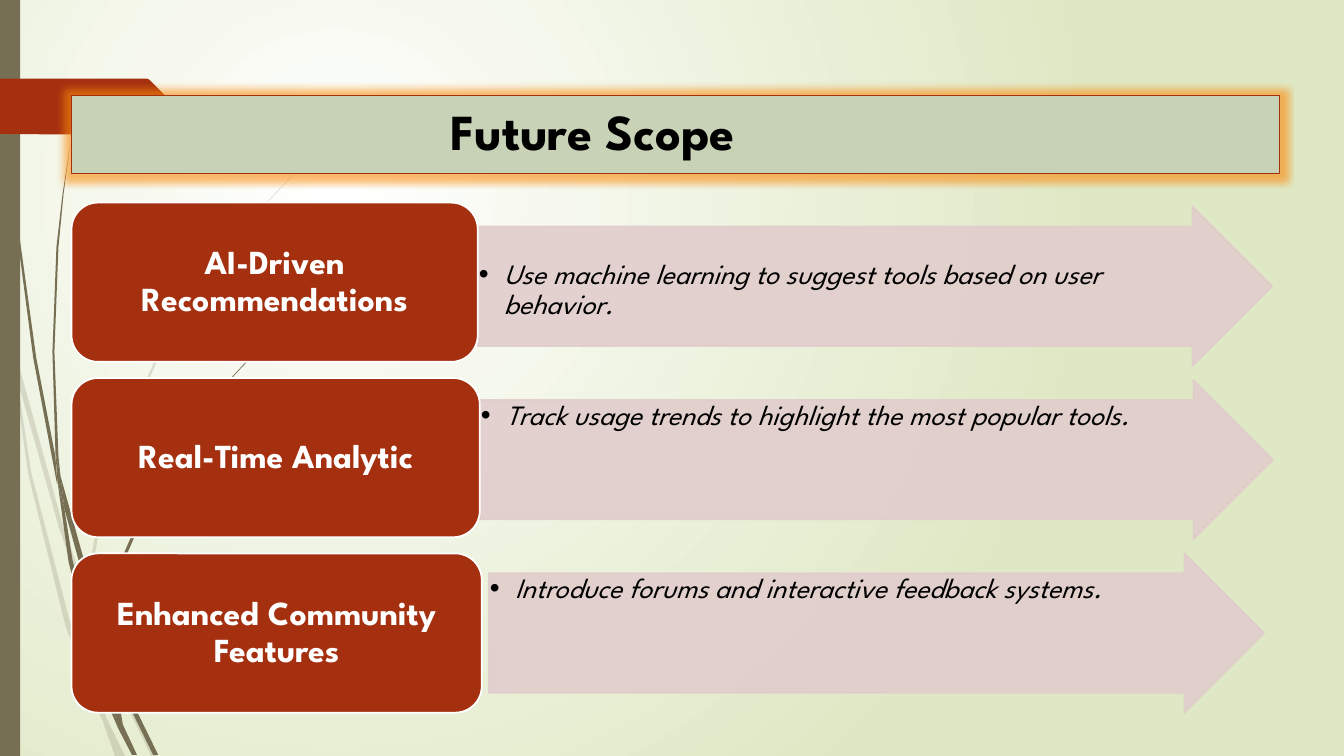
from lxml.etree import SubElement as sub_element
from pptx import Presentation
from pptx.dml.color import RGBColor
from pptx.enum.shapes import MSO_SHAPE as SHAPE
from pptx.enum.text import MSO_ANCHOR as ANCHOR, MSO_AUTO_SIZE as AUTO_SIZE, PP_ALIGN as ALIGN
from pptx.oxml.ns import qn
from pptx.util import Inches, Pt

BLACK = RGBColor(0x00, 0x00, 0x00)
WHITE = RGBColor(0xFF, 0xFF, 0xFF)
MIST = RGBColor(0xDF, 0xE8, 0xC4)
SAGE = RGBColor(0xC7, 0xD2, 0xB7)
OLIVE = RGBColor(0x76, 0x6F, 0x54)
RUST = RGBColor(0xA5, 0x30, 0x10)
ROSE = RGBColor(0xE1, 0xCD, 0xCC)
ORANGE = RGBColor(0xFA, 0x8A, 0x0A)

CELL = Inches(0.1)  # the slide is a grid of 133.33 columns by 75 rows
COLUMNS, ROWS = 133.33, 75
LABEL_LEFT, BLOCK_HEIGHT = 7.1, 15.8
LABEL_TOP, LABEL_PITCH = 20.1, 17.4
ARROW_TOP, ARROW_PITCH = 20.5, 17.2

# Label, label width, arrow left, arrow width, bullet text, bullet drop
BLOCKS = [
    ("AI-Driven Recommendations", 40.3, 47.4, 78.8,
     "Use machine learning to suggest tools based on user behavior.", 3.2),
    ("Real-Time Analytic", 40.5, 47.6, 78.7,
     "Track usage trends to highlight the most popular tools.", 0),
    ("Enhanced Community Features", 40.7, 48.5, 76.9,
     "Introduce forums and interactive feedback systems.", 0),
]

PALE_WISPS = [
    [(1.1, 35), (0.9, 32.2), (0, 28.2), (0, 29.9), (1, 34.4)],
    [(5.8, 52.2), (8.4, 59.9), (8.5, 58.6), (6.2, 52), (1.4, 34.5), (1.7, 37.6)],
    [(9.2, 60.7), (8.8, 59.6), (8.8, 61), (12.3, 69.4), (15, 75), (15.5, 75), (12.7, 69.2)],
    [(9.3, 68.3), (7, 61.9), (3.1, 46.9), (1.7, 37.6), (1.1, 35), (2.8, 47), (6.5, 62.1),
     (9.2, 69.3), (10.1, 71.4), (9.9, 70.7)],
    [(8.4, 59.9), (8.7, 64.6), (9.3, 68.3), (9.6, 69.2), (10.5, 71.1), (9.1, 64.6), (8.8, 61)],
    [(8.8, 58.4), (11, 46.2), (16, 34.9), (22.9, 24.5), (26.8, 19.8), (29, 17.5), (31.2, 15.4),
     (31.2, 15.3), (28.9, 17.5), (26.8, 19.7), (22.8, 24.4), (15.8, 34.8), (10.7, 46.1),
     (8.5, 58.4), (8.8, 59.6)],
    [(9.3, 68.3), (9.9, 70.7), (11.4, 75), (12.4, 75), (10.5, 71.1)],
]
DARK_WISPS = [
    [(0.7, 11), (1.7, 23.3), (3.3, 35.5), (5.6, 47.7), (5.7, 48.1), (5.5, 45.3), (3.6, 35.5),
     (1.9, 23.2), (0.8, 10.9), (0.5, 4.8), (0.4, 0), (0.3, 0), (0.4, 4.8)],
    [(8.8, 59.2), (10.6, 64.5), (10.6, 63.1), (9.3, 59), (6, 47.2), (6.4, 50.5)],
    [(11.3, 64.9), (11, 64.1), (11.1, 65.6), (13.2, 70.8), (15.2, 74.9), (15.7, 74.9),
     (13.6, 70.6)],
    [(11, 69.1), (9.8, 65.7), (7.2, 55.6), (6.4, 50.5), (5.7, 47.7), (6.8, 55.7), (9.3, 65.9),
     (11.1, 70.8), (11.7, 72.2), (11.6, 71.7)],
    [(6, 47.2), (5.8, 45.3), (5.4, 34.9), (5.8, 24.5), (6.3, 19.3), (7, 14.1), (6.2, 19.3),
     (5.6, 24.5), (5.2, 34.9), (5.5, 44.9)],
    [(5.7, 47.7), (6.4, 50.5), (6, 47.2), (5.5, 44.9)],
    [(11.1, 63.3), (12.5, 55.2), (15.8, 47.6), (20.5, 40.6), (23.1, 37.4), (24.5, 35.9),
     (26.1, 34.4), (26, 34.4), (24.5, 35.8), (23.1, 37.3), (20.4, 40.5), (15.6, 47.4),
     (12.2, 55.1), (10.6, 63.1), (11, 64.1)],
    [(10.6, 64.5), (11, 69.1), (11.6, 70.6), (12.2, 71.9), (11.1, 65.6)],
    [(11, 69.1), (11.7, 72.2), (13.1, 74.9), (13.6, 74.9), (12.2, 71.9)],
]
TAB = [(17.3, 10.8), (14.8, 13.3), (14.6, 13.4), (0, 13.3), (0, 7.8), (14.6, 7.8),
       (14.8, 7.9), (17.3, 10.4)]


def cells(*counts):
    return [round(count * CELL) for count in counts]


def write_text(frame, text, size=20, color=BLACK, bold=False, italic=False, align=ALIGN.LEFT,
               anchor=ANCHOR.TOP, insets=(1, 0.5, 1, 0.5), bullet=False):
    """Fill the frame with one paragraph; insets are left, top, right, bottom in cells."""
    frame.word_wrap = True
    frame.auto_size = AUTO_SIZE.NONE
    frame.vertical_anchor = anchor
    (frame.margin_left, frame.margin_top,
     frame.margin_right, frame.margin_bottom) = cells(*insets)
    para = frame.paragraphs[0]
    para.alignment = align
    para.line_spacing = 0.9
    para.space_before = para.space_after = Pt(0)
    if bullet:
        properties = para._p.get_or_add_pPr()
        properties.set("marL", str(Inches(0.25)))
        properties.set("indent", str(-Inches(0.25)))
        sub_element(properties, qn("a:buFont"), typeface="Arial")
        sub_element(properties, qn("a:buChar"), char="•")
    span = para.add_run()
    span.text = text
    span.font.name = "League Spartan"
    span.font.size = Pt(size)
    span.font.bold = bold
    span.font.italic = italic
    span.font.color.rgb = color


class SlideBuilder:
    def __init__(self, deck, layout):
        self.page = deck.slides.add_slide(layout)
        self.shapes = self.page.shapes

    def paint_background(self, inner, outer):
        fill = self.page.background.fill
        fill.gradient()
        for stop, color in zip(fill.gradient_stops, (inner, outer)):
            stop.color.rgb = color
        gradient = self.page.background._cSld.find(".//" + qn("a:gradFill"))
        gradient.remove(gradient.find(qn("a:lin")))
        circle = sub_element(gradient, qn("a:path"))
        circle.set("path", "circle")
        sub_element(circle, qn("a:fillToRect"), l="50000", t="50000", r="100000", b="100000")

    def style(self, shape, fill, line=None, width=1.25, opacity=100):
        shape.fill.solid()
        shape.fill.fore_color.rgb = fill
        if line is None:
            shape.line.fill.background()
        else:
            shape.line.color.rgb = line
            shape.line.width = Pt(width)
        if opacity < 100:
            for color in shape._element.spPr.iter(qn("a:srgbClr")):
                sub_element(color, qn("a:alpha"), val=str(opacity * 1000))

    def add_preset(self, kind, left, top, width, height, fill, **look):
        shape = self.shapes.add_shape(kind, *cells(left, top, width, height))
        shape.shadow.inherit = False
        self.style(shape, fill, **look)
        return shape

    def add_outline(self, points, fill, **look):
        start, *others = [cells(*point) for point in points]
        builder = self.shapes.build_freeform(*start)
        builder.add_line_segments(others)
        shape = builder.convert_to_shape()
        shape.shadow.inherit = False
        self.style(shape, fill, **look)

    def place(self, holder, left, top, width, height):
        """Move a placeholder and bring it in front of everything drawn so far."""
        holder.left, holder.top, holder.width, holder.height = cells(left, top, width, height)
        self.shapes._spTree.append(holder._element)

    def add_title(self, text):
        title = self.shapes.title
        self.place(title, LABEL_LEFT, 9.5, 119.8, 7.7)
        self.style(title, SAGE, line=RUST, width=0.75)
        effects = sub_element(title._element.spPr, qn("a:effectLst"))
        glow = sub_element(effects, qn("a:glow"), rad=str(Inches(0.15)))
        color = sub_element(glow, qn("a:srgbClr"), val=str(ORANGE))
        sub_element(color, qn("a:alpha"), val="60000")
        write_text(title.text_frame, text, size=36, bold=True, anchor=ANCHOR.MIDDLE,
                   insets=(37.6, 0.5, 1, 0.5))

    def add_block(self, row, holder, label, label_width, left, width, detail, drop):
        top = ARROW_TOP + row * ARROW_PITCH
        arrow = self.add_preset(SHAPE.RIGHT_ARROW, left, top, width, BLOCK_HEIGHT, ROSE,
                                line=ROSE, opacity=90)
        arrow.adjustments[0] = 0.75
        self.place(holder, left, top + 2, width - 5.9, 11.9)
        write_text(holder.text_frame, detail, italic=True, bullet=True,
                   insets=(0.1, 0.1 + drop, 0.1, 0.1))
        box = self.add_preset(SHAPE.ROUNDED_RECTANGLE, LABEL_LEFT, LABEL_TOP + row * LABEL_PITCH,
                              label_width, BLOCK_HEIGHT, RUST, line=WHITE)
        write_text(box.text_frame, label, size=24, color=WHITE, bold=True, align=ALIGN.CENTER,
                   anchor=ANCHOR.MIDDLE)


def main():
    deck = Presentation()
    deck.slide_width, deck.slide_height = cells(COLUMNS, ROWS)
    builder = SlideBuilder(deck, deck.slide_layouts.get_by_name("Comparison"))
    _, *holders = builder.page.placeholders
    builder.paint_background(WHITE, MIST)
    for wisps, opacity in ((PALE_WISPS, 20), (DARK_WISPS, 100)):
        for wisp in wisps:
            builder.add_outline(wisp, OLIVE, opacity=opacity)
    builder.add_preset(SHAPE.RECTANGLE, 0, 0, 2, ROWS, OLIVE)
    builder.add_outline(TAB, RUST)
    builder.add_title("Future Scope")
    for row, (holder, block) in enumerate(zip(holders, BLOCKS)):
        builder.add_block(row, holder, *block)
    for spare in holders[len(BLOCKS):]:
        builder.shapes._spTree.remove(spare._element)
    deck.save("out.pptx")


if __name__ == "__main__":
    main()
